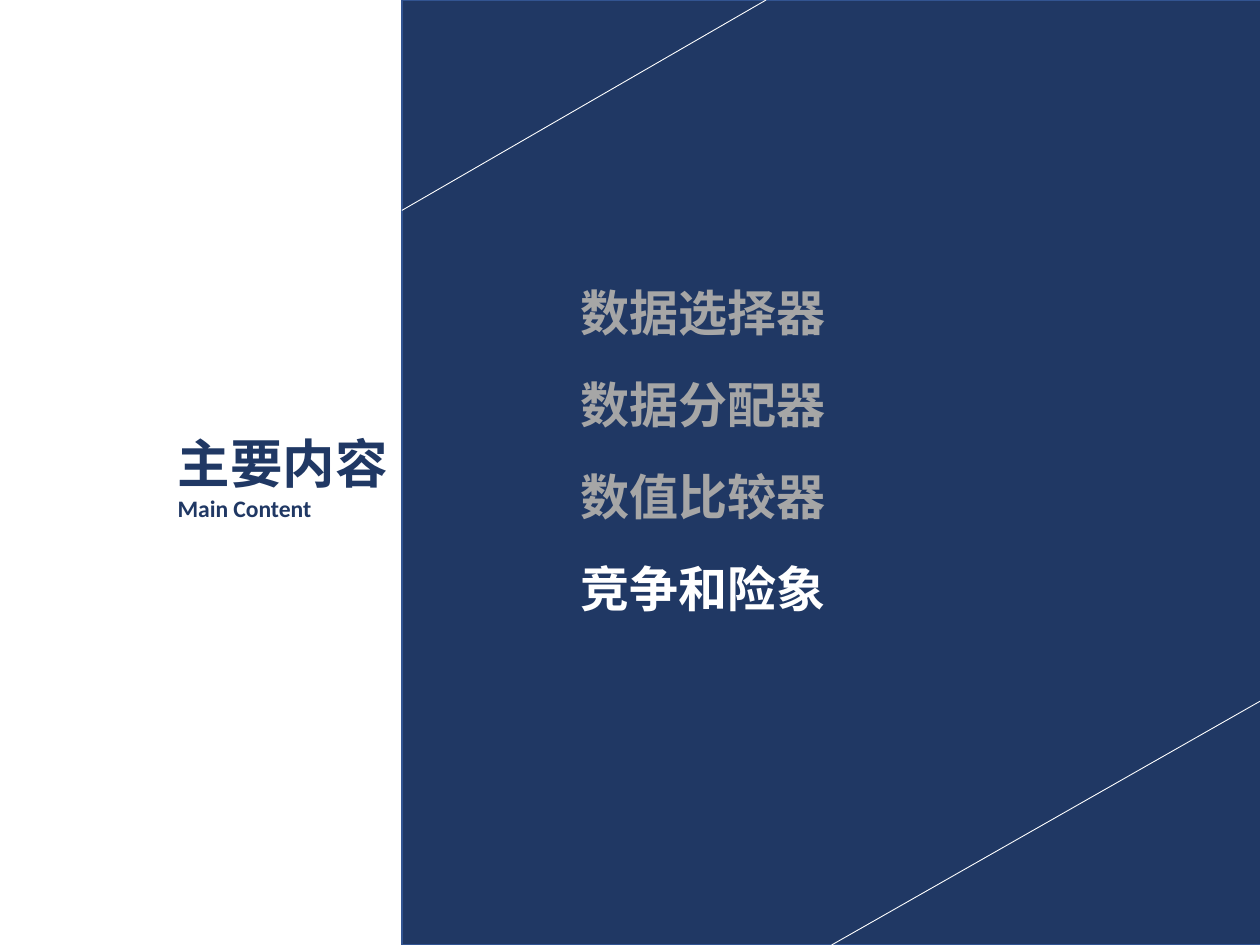
from pptx import Presentation
from pptx.dml.color import RGBColor
from pptx.enum.shapes import MSO_CONNECTOR as Conn, MSO_SHAPE as Shape
from pptx.enum.text import MSO_ANCHOR as Anchor, MSO_AUTO_SIZE as Fit, PP_ALIGN as Align
from pptx.oxml.ns import qn
from pptx.util import Inches, Pt
from lxml.etree import SubElement

NAVY, EDGE, WHITE, GREY = "203864", "325491", "FFFFFF", "A6A6A6"
HAN, LATIN = "Noto Sans CJK SC", "Calibri"
TOPICS = ["数据选择器", "数据分配器", "数值比较器", "竞争和险象"]
CURRENT = "竞争和险象"


def rgb(code):
    return RGBColor.from_string(code)


def style(run, size, color, face):
    font = run.font
    font.size, font.bold, font.name = Pt(size), True, face
    font.color.rgb = rgb(color)
    SubElement(run._r.get_or_add_rPr(), qn("a:ea"), typeface=face)


def place(holder, x, y, w, h):
    """Move a placeholder and give it a plain, top-aligned frame."""
    holder.left, holder.top = Inches(x), Inches(y)
    holder.width, holder.height = Inches(w), Inches(h)
    frame = holder.text_frame
    frame.word_wrap, frame.auto_size = True, Fit.NONE
    frame.vertical_anchor = Anchor.TOP
    return frame


def add_title(slide, x, y, w, h):
    frame = place(slide.shapes.title, x, y, w, h)
    frame.text = "主要内容\vMain Content"
    para = frame.paragraphs[0]
    para.alignment = Align.LEFT
    head, sub = para.runs
    style(head, 30, NAVY, HAN)
    style(sub, 13.5, NAVY, LATIN)


def add_line(slide, x1, y1, x2, y2):
    line = slide.shapes.add_connector(
        Conn.STRAIGHT, Inches(x1), Inches(y1), Inches(x2), Inches(y2))
    line.line.color.rgb = rgb(WHITE)
    line.line.width = Pt(0.5)
    SubElement(line._element.spPr, qn("a:effectLst"))


def add_panel(slide, x, y, w, h):
    """Draw the dark panel with a slanted line across two corners."""
    panel = slide.shapes.add_shape(
        Shape.RECTANGLE, Inches(x), Inches(y), Inches(w), Inches(h))
    panel.shadow.inherit = False
    panel.fill.solid()
    panel.fill.fore_color.rgb = rgb(NAVY)
    panel.line.color.rgb = rgb(EDGE)
    panel.line.width = Pt(1)
    add_line(slide, x + 2.89, y, x, y + 1.67)
    add_line(slide, x + w, y + h - 1.94, x + 3.41, y + h)


def add_topics(slide, x, y, w, h):
    body = slide.placeholders[1]
    frame = place(body, x, y, w, h)
    frame.text = "\n".join(TOPICS)
    for i, para in enumerate(frame.paragraphs):
        para.line_spacing = 1.0
        para.space_before = Pt(19 if i else 0)
        para.space_after = Pt(0)
        props = para._p.get_or_add_pPr()
        props.set("marL", "0")
        props.set("indent", "0")
        SubElement(props, qn("a:buNone"))
        color = WHITE if para.text == CURRENT else GREY
        style(para.runs[0], 28, color, HAN)
    slide.shapes._spTree.append(body._element)  # in front of the panel


def main():
    deck = Presentation()
    deck.slide_width, deck.slide_height = Inches(10), Inches(7.5)
    slide = deck.slides.add_slide(deck.slide_layouts[1])
    add_title(slide, 1.31, 3.37, 2, 0.83)
    add_panel(slide, 3.19, 0, 6.82, 7.5)
    add_topics(slide, 4.51, 2.19, 3.86, 3.05)
    deck.save("out.pptx")


if __name__ == "__main__":
    main()
